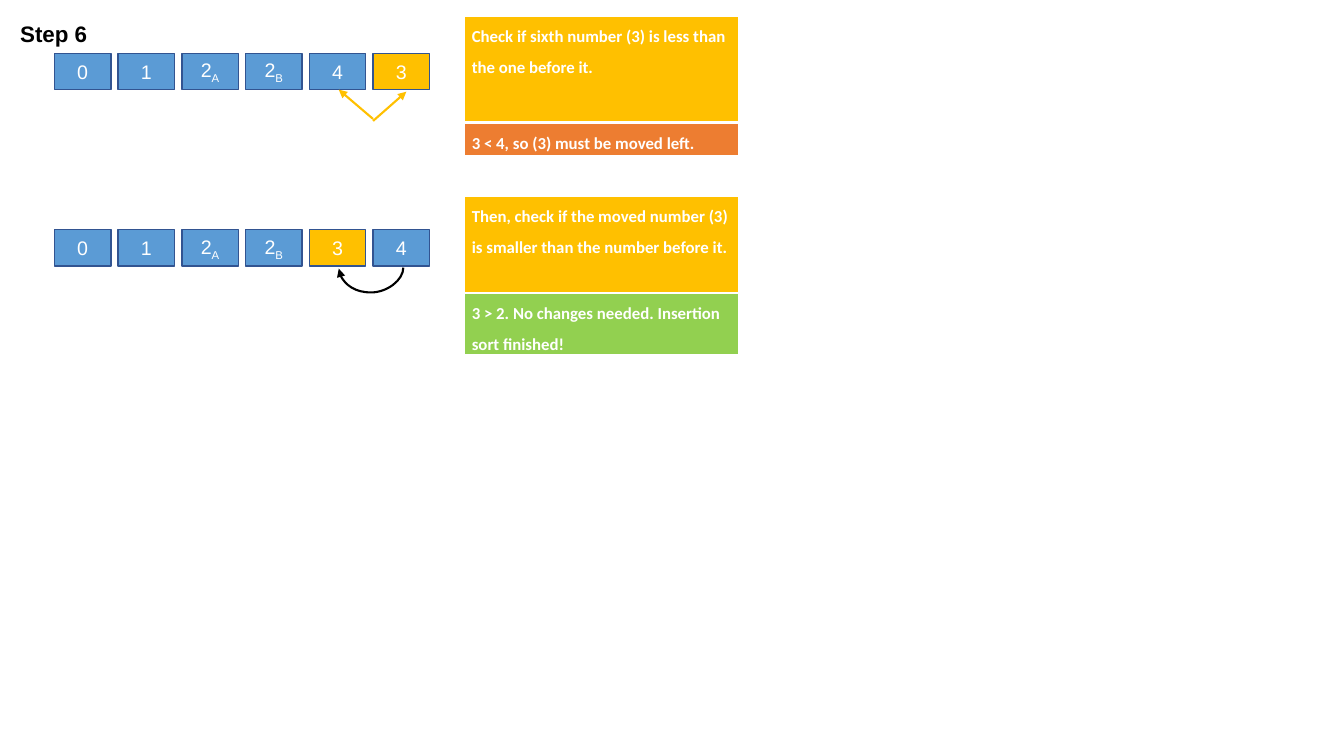
from lxml.etree import SubElement
from pptx import Presentation
from pptx.dml.color import RGBColor
from pptx.enum.shapes import MSO_CONNECTOR as Connector, MSO_SHAPE as Shape
from pptx.enum.text import MSO_ANCHOR as Anchor, MSO_AUTO_SIZE as AutoSize, PP_ALIGN as Align
from pptx.oxml.ns import qn
from pptx.util import Inches, Pt

WHITE = RGBColor(0xFF, 0xFF, 0xFF)
BLACK = RGBColor(0x00, 0x00, 0x00)
BLUE = RGBColor(0x5B, 0x9B, 0xD5)
NAVY = RGBColor(0x32, 0x54, 0x91)
AMBER = RGBColor(0xFF, 0xC0, 0x00)
ORANGE = RGBColor(0xED, 0x7D, 0x31)
GREEN = RGBColor(0x92, 0xD0, 0x50)

BOX_LEFT, BOX_PITCH = 0.54, 0.632
BOX_WIDTH, BOX_HEIGHT = 0.56, 0.36
NOTE_LEFT, NOTE_WIDTH = 4.61, 2.72


class SortSlide:
    heading_font = "Arial"
    note_font = "Calibri"

    def __init__(self, slide):
        self.slide = slide

    def style_runs(self, paragraph, name, size, color, bold=False):
        for run in paragraph.runs:
            run.font.name = name
            run.font.size = Pt(size)
            run.font.bold = bold
            run.font.color.rgb = color

    def title(self, text, left, top, width, height):
        title = self.slide.shapes.title
        title.left, title.top = Inches(left), Inches(top)
        title.width, title.height = Inches(width), Inches(height)
        frame = title.text_frame
        frame.text = text
        frame.word_wrap = False
        frame.auto_size = AutoSize.SHAPE_TO_FIT_TEXT
        frame.vertical_anchor = Anchor.TOP
        paragraph = frame.paragraphs[0]
        paragraph.alignment = Align.LEFT
        paragraph.line_spacing = 1.0
        self.style_runs(paragraph, self.heading_font, 16, BLACK, bold=True)

    def number_row(self, labels, highlighted, top):
        """Draw one state of the list; letters after a digit become subscripts."""
        for index, label in enumerate(labels):
            box = self.slide.shapes.add_shape(
                Shape.RECTANGLE, Inches(BOX_LEFT + index * BOX_PITCH), Inches(top),
                Inches(BOX_WIDTH), Inches(BOX_HEIGHT))
            box.shadow.inherit = False
            box.fill.solid()
            box.fill.fore_color.rgb = AMBER if label == highlighted else BLUE
            box.line.color.rgb = NAVY
            box.line.width = Pt(1)
            frame = box.text_frame
            frame.text = label[0]
            frame.vertical_anchor = Anchor.MIDDLE
            paragraph = frame.paragraphs[0]
            paragraph.alignment = Align.CENTER
            if label[1:]:
                subscript = paragraph.add_run()
                subscript.text = label[1:]
                subscript._r.get_or_add_rPr().set("baseline", "-25000")
            self.style_runs(paragraph, self.heading_font, 14, WHITE)

    def note(self, text, top, height, color, left=NOTE_LEFT):
        table = self.slide.shapes.add_table(
            1, 1, Inches(left), Inches(top), Inches(NOTE_WIDTH), Inches(height)).table
        table.rows[0].height = Inches(height)
        cell = table.cell(0, 0)
        cell.margin_left = cell.margin_right = Inches(0.07)
        cell.margin_top = cell.margin_bottom = 0
        cell.text = text
        paragraph = cell.text_frame.paragraphs[0]
        paragraph.line_spacing = 1.5
        self.style_runs(paragraph, self.note_font, 12, WHITE, bold=True)
        properties = cell._tc.get_or_add_tcPr()
        for side, width in (("L", 1), ("R", 1), ("T", 1), ("B", 3)):
            border = SubElement(properties, qn(f"a:ln{side}"), w=str(Pt(width)))
            fill = SubElement(border, qn("a:solidFill"))
            SubElement(fill, qn("a:srgbClr"), val=str(WHITE))
        cell.fill.solid()
        cell.fill.fore_color.rgb = color

    def arrow(self, start, end, color, kind=Connector.STRAIGHT):
        points = [Inches(value) for value in (*start, *end)]
        arrow = self.slide.shapes.add_connector(kind, *points)
        arrow.line.color.rgb = color
        arrow.line.width = Pt(1.5)
        SubElement(arrow.line._get_or_add_ln(), qn("a:tailEnd"), type="triangle")
        SubElement(arrow._element.spPr, qn("a:effectLst"))
        return arrow

    def compare_arrows(self):
        self.slide.shapes.add_group_shape([
            self.arrow((3.7, 1.2), (4.03, 0.91), AMBER),
            self.arrow((3.7, 1.18), (3.36, 0.89), AMBER)])

    def move_arrow(self):
        """Bow below the boxes: a thin upright curve turned by a quarter."""
        arrow = self.arrow((3.675, 2.34), (3.685, 2.98), BLACK, Connector.CURVE)
        properties = arrow._element.spPr
        properties.find(qn("a:xfrm")).set("rot", str(90 * 60000))
        adjustments = properties.find(qn("a:prstGeom")).find(qn("a:avLst"))
        SubElement(adjustments, qn("a:gd"), name="adj1", fmla="val 2500000")


def main():
    presentation = Presentation()
    presentation.slide_width = Inches(13.33)
    presentation.slide_height = Inches(7.5)
    title_only = presentation.slide_layouts[5]
    page = SortSlide(presentation.slides.add_slide(title_only))

    page.title("Step 6", 0.1, 0.15, 0.88, 0.37)

    page.number_row(["0", "1", "2A", "2B", "4", "3"], "3", 0.53)
    page.compare_arrows()
    page.note("Check if sixth number (3) is less than the one before it.", 0.16, 1.06, AMBER)
    page.note("3 < 4, so (3) must be moved left.", 1.22, 0.34, ORANGE)

    page.number_row(["0", "1", "2A", "2B", "3", "4"], "3", 2.28)
    page.move_arrow()
    page.note("Then, check if the moved number (3) is smaller than the number before it.",
              1.95, 0.97, AMBER)
    page.note("3 > 2. No changes needed. Insertion sort finished!", 2.91, 0.62, GREEN)

    presentation.save("out.pptx")


if __name__ == "__main__":
    main()
